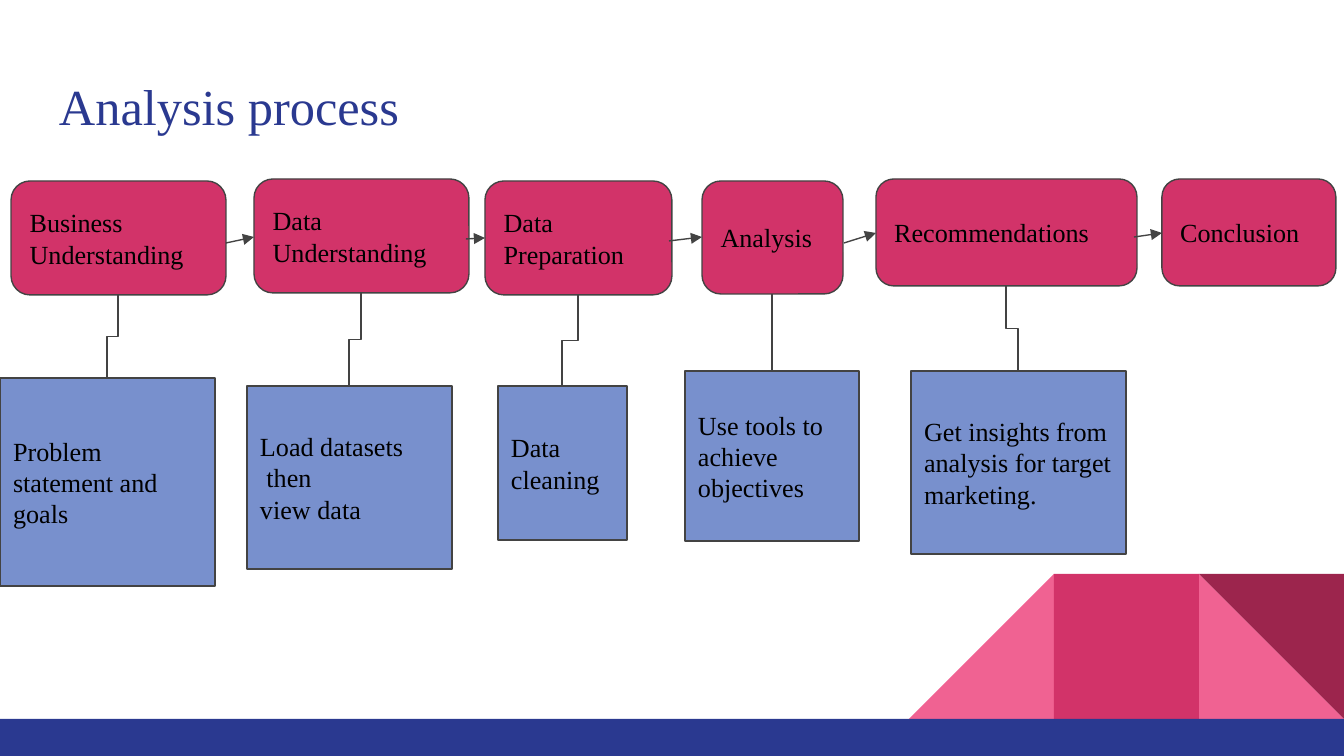
from lxml.etree import SubElement
from pptx import Presentation
from pptx.dml.color import RGBColor
from pptx.enum.shapes import MSO_CONNECTOR, MSO_SHAPE
from pptx.enum.text import MSO_ANCHOR, PP_ALIGN
from pptx.oxml.ns import qn
from pptx.util import Emu, Pt

WIDTH, HEIGHT = 1344, 756
SCALE = 9144000 / WIDTH

PINK, LIGHT_PINK, DARK_PINK = "D23369", "F06292", "9C254D"
NAVY, BLUE, GREY, BLACK = "2A3990", "7890CD", "434343", "000000"


def px(value):
    return Emu(round(value * SCALE))


def color(hex_string):
    return RGBColor.from_string(hex_string)


class SlideBuilder:
    font = "Times New Roman"
    inset = 13
    line_width = 0.75

    def __init__(self, slide):
        self.slide = slide

    def add_text(self, shape, lines, size, text_color, anchor):
        frame = shape.text_frame
        frame.word_wrap = True
        frame.vertical_anchor = anchor
        frame.margin_left = frame.margin_right = px(self.inset)
        frame.margin_top = frame.margin_bottom = px(self.inset)
        for index, line in enumerate(lines):
            paragraph = frame.add_paragraph() if index else frame.paragraphs[0]
            paragraph.alignment = PP_ALIGN.LEFT
            run = paragraph.add_run()
            run.text = line
            run.font.name = self.font
            run.font.size = Pt(size)
            run.font.color.rgb = color(text_color)

    def title(self, text, box):
        shape = self.slide.shapes.add_textbox(*map(px, box))
        self.add_text(shape, [text], 27, NAVY, MSO_ANCHOR.BOTTOM)

    def block(self, kind, box, fill):
        shape = self.slide.shapes.add_shape(kind, *map(px, box))
        shape.shadow.inherit = False
        shape.fill.solid()
        shape.fill.fore_color.rgb = color(fill)
        shape.line.fill.background()
        return shape

    def triangle(self, box, fill, rotation=0, mirrored=False):
        shape = self.block(MSO_SHAPE.RIGHT_TRIANGLE, box, fill)
        shape.rotation = rotation
        if mirrored:
            shape._element.spPr.find(qn("a:xfrm")).set("flipH", "1")

    def label(self, kind, box, fill, lines):
        shape = self.block(kind, box, fill)
        shape.line.color.rgb = color(GREY)
        shape.line.width = Pt(self.line_width)
        self.add_text(shape, lines, 14, BLACK, MSO_ANCHOR.MIDDLE)

    def connector(self, kind, start, end):
        connector = self.slide.shapes.add_connector(kind, *map(px, (*start, *end)))
        connector.line.color.rgb = color(GREY)
        connector.line.width = Pt(self.line_width)
        SubElement(connector._element.spPr, qn("a:effectLst"))
        return connector

    def arrow(self, start, end):
        connector = self.connector(MSO_CONNECTOR.STRAIGHT, start, end)
        line = connector._element.spPr.find(qn("a:ln"))
        SubElement(line, qn("a:tailEnd"), type="triangle")

    def vertical_elbow(self, start, end):
        (x1, y1), (x2, y2) = start, end
        center_x, center_y = (x1 + x2) / 2, (y1 + y2) / 2
        half_x, half_y = (x2 - x1) / 2, (y2 - y1) / 2
        connector = self.connector(
            MSO_CONNECTOR.ELBOW,
            (center_x - half_y, center_y + half_x),
            (center_x + half_y, center_y - half_x),
        )
        connector._element.spPr.find(qn("a:xfrm")).set("rot", "5400000")


STEPS = [
    ("Business Understanding", (11, 181, 215, 114)),
    ("Data Understanding", (254, 179, 215, 114)),
    ("Data Preparation", (485, 181, 187, 114)),
    ("Analysis", (702, 181, 141, 113)),
    ("Recommendations", (876, 179, 261, 107)),
    ("Conclusion", (1162, 179, 174, 107)),
]
DETAILS = [
    (["Problem statement and goals"], (0, 378, 215, 208)),
    (["Load datasets", " then", "view data"], (247, 386, 205, 183)),
    (["Data cleaning"], (498, 386, 129, 154)),
    (["Use tools to achieve objectives"], (685, 371, 174, 170)),
    (["Get insights from analysis for target marketing."], (911, 371, 215, 183)),
]
ARROWS = [
    ((226, 243), (254, 237)),
    ((466, 239), (485, 238)),
    ((669, 241), (702, 237)),
    ((844, 243), (876, 233)),
    ((1134, 237), (1162, 233)),
]


def main():
    presentation = Presentation()
    presentation.slide_width, presentation.slide_height = px(WIDTH), px(HEIGHT)
    slide = presentation.slides.add_slide(presentation.slide_layouts[6])
    builder = SlideBuilder(slide)

    side, bar_top = 145, 719
    left, middle, right = [
        (WIDTH - count * side, bar_top - side, side, side) for count in (3, 2, 1)
    ]
    builder.triangle(right, LIGHT_PINK)
    builder.triangle(left, LIGHT_PINK, mirrored=True)
    builder.block(MSO_SHAPE.RECTANGLE, middle, PINK)
    builder.triangle(right, DARK_PINK, rotation=180)
    builder.block(MSO_SHAPE.RECTANGLE, (0, bar_top, WIDTH, HEIGHT - bar_top), NAVY)

    builder.title("Analysis process", (46, 61, 1252, 88))
    for text, box in STEPS:
        builder.label(MSO_SHAPE.ROUNDED_RECTANGLE, box, PINK, [text])
    for lines, box in DETAILS:
        builder.label(MSO_SHAPE.RECTANGLE, box, BLUE, lines)
    for start, end in ARROWS:
        builder.arrow(start, end)
    for (_, step), (_, detail) in zip(STEPS, DETAILS):
        step_bottom = (step[0] + step[2] // 2, step[1] + step[3])
        detail_top = (detail[0] + detail[2] // 2, detail[1])
        builder.vertical_elbow(step_bottom, detail_top)

    presentation.save("out.pptx")


if __name__ == "__main__":
    main()
